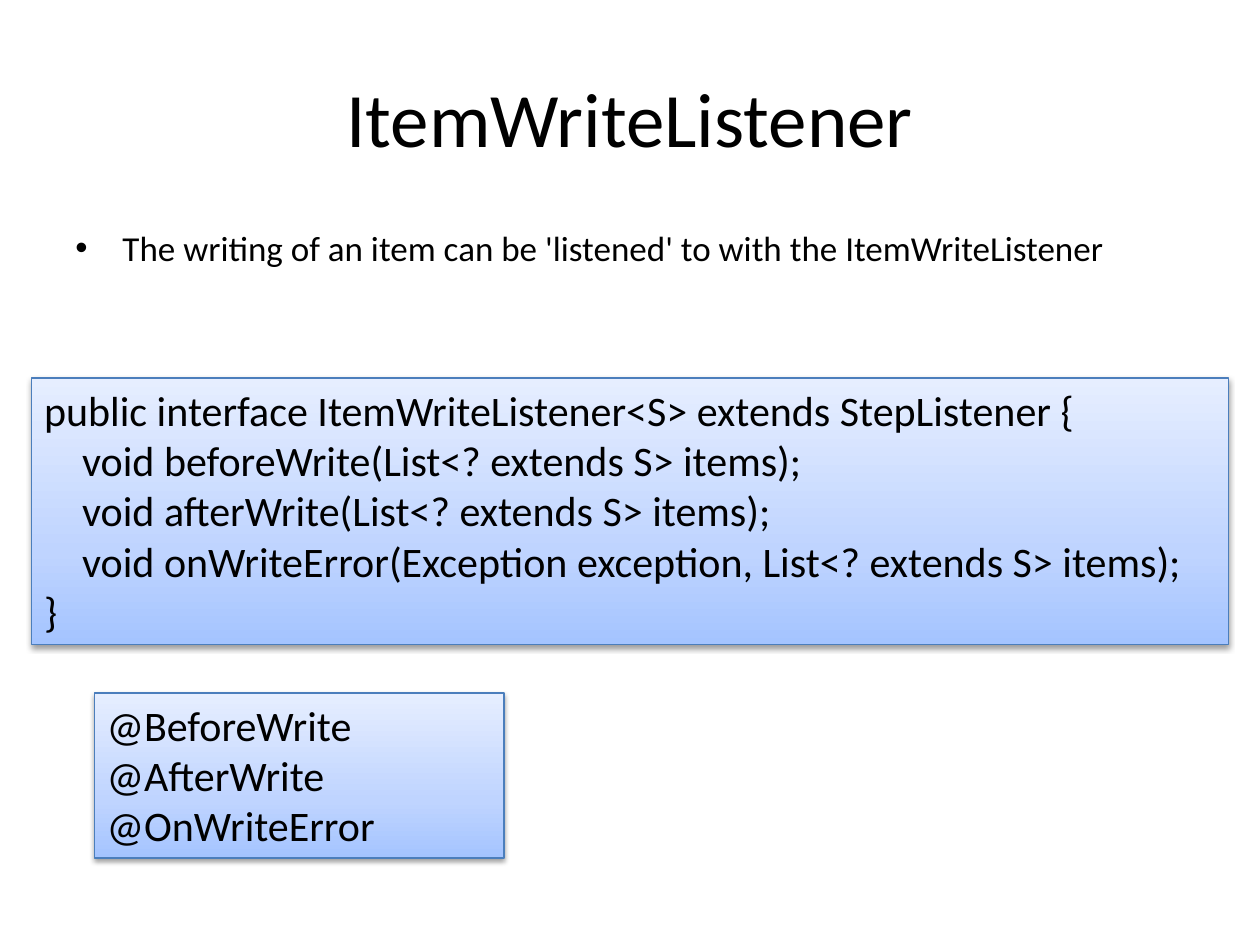
from copy import deepcopy
from dataclasses import dataclass

from lxml.etree import SubElement
from pptx import Presentation
from pptx.dml.color import RGBColor
from pptx.enum.shapes import MSO_SHAPE
from pptx.enum.text import MSO_ANCHOR, MSO_AUTO_SIZE, PP_ALIGN
from pptx.oxml.ns import qn
from pptx.util import Cm, Pt


@dataclass(frozen=True)
class Theme:
    font: str = "Calibri"
    text: str = "000000"
    border: str = "4B7EBC"
    shadow: str = "000000"
    gradient: tuple = ((0, "A4C4FF"), (0.35, "BFD4FF"), (1, "E6EEFF"))
    title_size: int = 44
    body_size: int = 20
    code_size: int = 24


THEME = Theme()

LISTENER_CODE = """public interface ItemWriteListener<S> extends StepListener {
    void beforeWrite(List<? extends S> items);
    void afterWrite(List<? extends S> items);
    void onWriteError(Exception exception, List<? extends S> items);
}"""
ANNOTATIONS = """@BeforeWrite
@AfterWrite
@OnWriteError"""


def format_text(frame, size, align):
    for paragraph in frame.paragraphs:
        paragraph.alignment = align
        for run in paragraph.runs:
            run.font.name = THEME.font
            run.font.size = Pt(size)
            run.font.color.rgb = RGBColor.from_string(THEME.text)


def set_title(slide, text, left, top, width, height):
    title = slide.shapes.title
    title.left, title.top, title.width, title.height = left, top, width, height
    title.text_frame.text = text
    title.text_frame.vertical_anchor = MSO_ANCHOR.MIDDLE
    format_text(title.text_frame, THEME.title_size, PP_ALIGN.CENTER)


def add_bullet(slide, text, left, top, width, height):
    frame = slide.shapes.add_textbox(left, top, width, height).text_frame
    frame.word_wrap = True
    frame.text = text
    properties = frame.paragraphs[0]._p.get_or_add_pPr()
    indent = Cm(0.95)
    properties.set("marL", str(indent))
    properties.set("indent", str(-indent))
    SubElement(properties, qn("a:buFont"), typeface="Arial")
    SubElement(properties, qn("a:buChar"), char="•")
    format_text(frame, THEME.body_size, PP_ALIGN.LEFT)


def fill_gradient(shape):
    """Blend the theme's three colours from the bottom edge to the top."""
    fill = shape.fill
    fill.gradient()
    fill.gradient_angle = 90
    stop_list = shape._element.spPr.find(".//" + qn("a:gsLst"))
    stop_list.insert(1, deepcopy(stop_list[0]))
    for stop, (position, color) in zip(fill.gradient_stops, THEME.gradient):
        stop.position = position
        stop.color.rgb = RGBColor.from_string(color)


def add_soft_shadow(shape):
    shape.shadow.inherit = False
    effects = shape._element.spPr.find(qn("a:effectLst"))
    shadow = SubElement(effects, qn("a:outerShdw"), blurRad=str(Pt(3.1)),
                        dist=str(Pt(1.6)), dir="5400000", rotWithShape="0")
    color = SubElement(shadow, qn("a:srgbClr"), val=THEME.shadow)
    SubElement(color, qn("a:alpha"), val="38000")


def add_code_panel(slide, code, left, top, width, height):
    panel = slide.shapes.add_shape(MSO_SHAPE.RECTANGLE, left, top, width, height)
    fill_gradient(panel)
    panel.line.color.rgb = RGBColor.from_string(THEME.border)
    panel.line.width = Pt(0.75)
    add_soft_shadow(panel)
    frame = panel.text_frame
    frame.word_wrap = True
    frame.auto_size = MSO_AUTO_SIZE.SHAPE_TO_FIT_TEXT
    frame.vertical_anchor = MSO_ANCHOR.TOP
    frame.text = code
    format_text(frame, THEME.code_size, PP_ALIGN.LEFT)


def main():
    presentation = Presentation()
    presentation.slide_width, presentation.slide_height = Cm(25.4), Cm(19.05)
    slide = presentation.slides.add_slide(presentation.slide_layouts[5])
    set_title(slide, "ItemWriteListener", Cm(1.27), Cm(0.76), Cm(22.86), Cm(3.18))
    add_bullet(slide,
               "The writing of an item can be 'listened' to with the ItemWriteListener",
               Cm(1.27), Cm(4.45), Cm(22.86), Cm(1.47))
    add_code_panel(slide, LISTENER_CODE, Cm(0.64), Cm(7.62), Cm(24.13), Cm(5.38))
    add_code_panel(slide, ANNOTATIONS, Cm(1.9), Cm(13.97), Cm(8.26), Cm(3.33))
    presentation.save("out.pptx")


if __name__ == "__main__":
    main()
